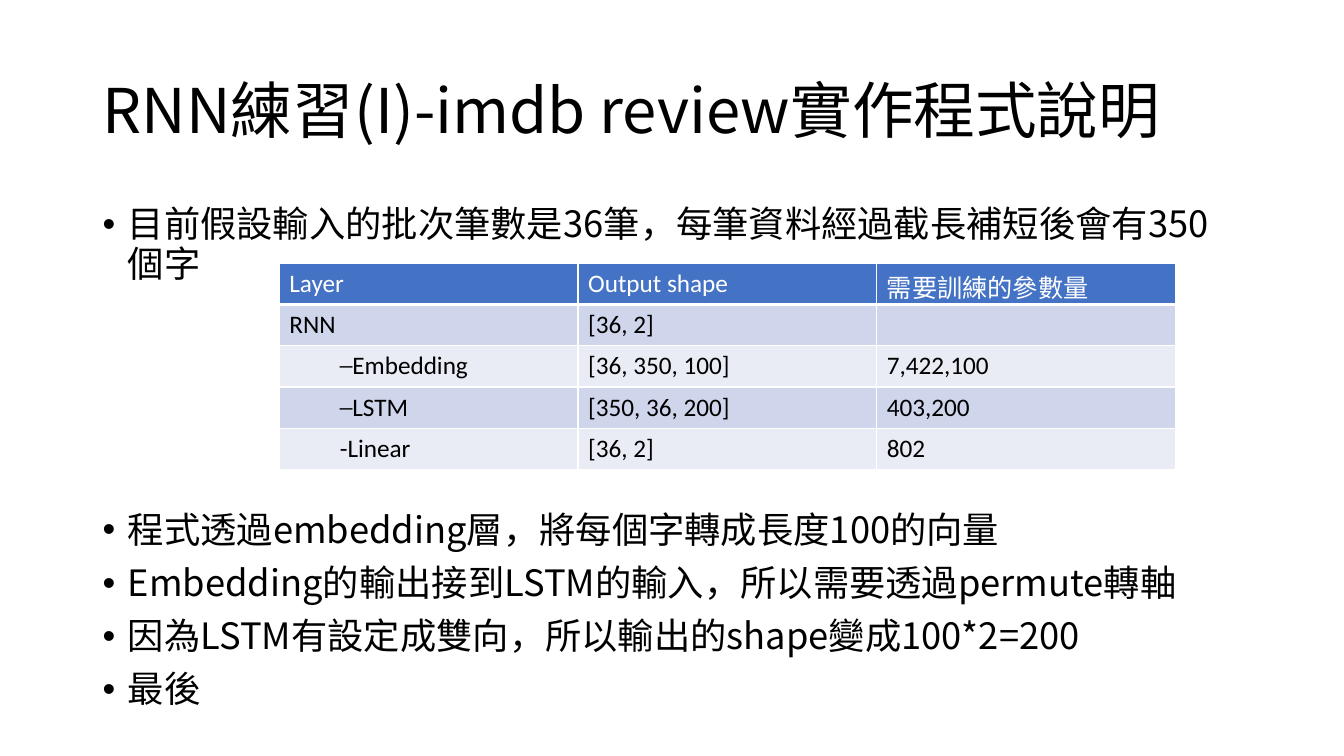
"""Build the slide on the RNN review exercise."""
import pptx
import pptx.util
import pptx.dml.color
import pptx.enum.text
import pptx.oxml
import pptx.oxml.ns

Inches = pptx.util.Inches
Pt = pptx.util.Pt
qn = pptx.oxml.ns.qn

TITLE = "RNN練習(I)-imdb review實作程式說明"
INTRO = ["目前假設輸入的批次筆數是36筆，每筆資料經過截長補短後會有350個字"]
NOTES = [
    "程式透過embedding層，將每個字轉成長度100的向量",
    "Embedding的輸出接到LSTM的輸入，所以需要透過permute轉軸",
    "因為LSTM有設定成雙向，所以輸出的shape變成100*2=200",
    "最後",
]
LAYERS = [
    ("Layer", "Output shape", "需要訓練的參數量"),
    ("RNN", "[36, 2]", ""),
    ("─Embedding", "[36, 350, 100]", "7,422,100"),
    ("─LSTM", "[350, 36, 200]", "403,200"),
    ("-Linear", "[36, 2]", "802"),
]
COLORS = {"text": "000000", "white": "FFFFFF", "head": "4472C4",
          "odd": "CFD5EA", "even": "E9EBF5"}
SANS = "Noto Sans CJK SC"
LATIN = "Calibri"
LEFT, WIDE = 0.92, 11.5
ROW = 0.41


def rgb(name):
    return pptx.dml.color.RGBColor.from_string(COLORS[name])


def element(xml):
    space = 'xmlns:a="http://schemas.openxmlformats.org/drawingml/2006/main"'
    return pptx.oxml.parse_xml(xml.replace(" ", f" {space} ", 1))


def style(para, size, face, color):
    for run in para.runs:
        run.font.size = Pt(size)
        run.font.name = face
        run.font.color.rgb = rgb(color)
        latin = run.font._element.find(qn("a:latin"))
        latin.addnext(element(f'<a:ea typeface="{SANS}"/>'))


def add_text(slide, lines, top, height, size, bullet=False):
    box = slide.shapes.add_textbox(
        Inches(LEFT), Inches(top), Inches(WIDE), Inches(height))
    frame = box.text_frame
    frame.word_wrap = True
    frame.text = "\n".join(lines)
    for i, para in enumerate(frame.paragraphs):
        para.line_spacing = 0.9
        para.space_before = Pt(10 if i else 0)
        if bullet:
            props = para._p.get_or_add_pPr()
            props.set("marL", str(Inches(0.25)))
            props.set("indent", str(Inches(-0.25)))
            props.append(element('<a:buFont typeface="Arial"/>'))
            props.append(element('<a:buChar char="•"/>'))
        style(para, size, SANS, "text")
    return frame


def add_edges(cell, head):
    props = cell._tc.get_or_add_tcPr()
    for side in "LRTB":
        width = Pt(3 if head and side == "B" else 1)
        props.append(element(
            f'<a:ln{side} w="{width}"><a:solidFill>'
            f'<a:srgbClr val="{COLORS["white"]}"/></a:solidFill></a:ln{side}>'))


def add_layers(slide):
    count = len(LAYERS)
    table = slide.shapes.add_table(
        count, 3, Inches(2.77), Inches(2.61),
        Inches(8.89), Inches(ROW * count)).table
    for r, row in enumerate(LAYERS):
        table.rows[r].height = Inches(ROW)
        fill = "head" if r == 0 else ("odd" if r % 2 else "even")
        for c, text in enumerate(row):
            cell = table.cell(r, c)
            add_edges(cell, r == 0)
            cell.fill.solid()
            cell.fill.fore_color.rgb = rgb(fill)
            cell.text_frame.text = text
            para = cell.text_frame.paragraphs[0]
            if c == 0 and r > 1:
                para.level = 1
                para._p.get_or_add_pPr().set("marL", str(Inches(0.5)))
            style(para, 18, LATIN, "text" if r else "white")


def main():
    deck = pptx.Presentation()
    deck.slide_width = Inches(13.33)
    deck.slide_height = Inches(7.5)
    slide = deck.slides.add_slide(deck.slide_layouts[6])
    title = add_text(slide, [TITLE], 0.4, 1.45, 44)
    title.vertical_anchor = pptx.enum.text.MSO_ANCHOR.MIDDLE
    add_text(slide, INTRO, 2, 1, 25.9, True)
    add_text(slide, NOTES, 5.03, 2.26, 25.9, True)
    add_layers(slide)
    deck.save("out.pptx")


if __name__ == "__main__":
    main()
